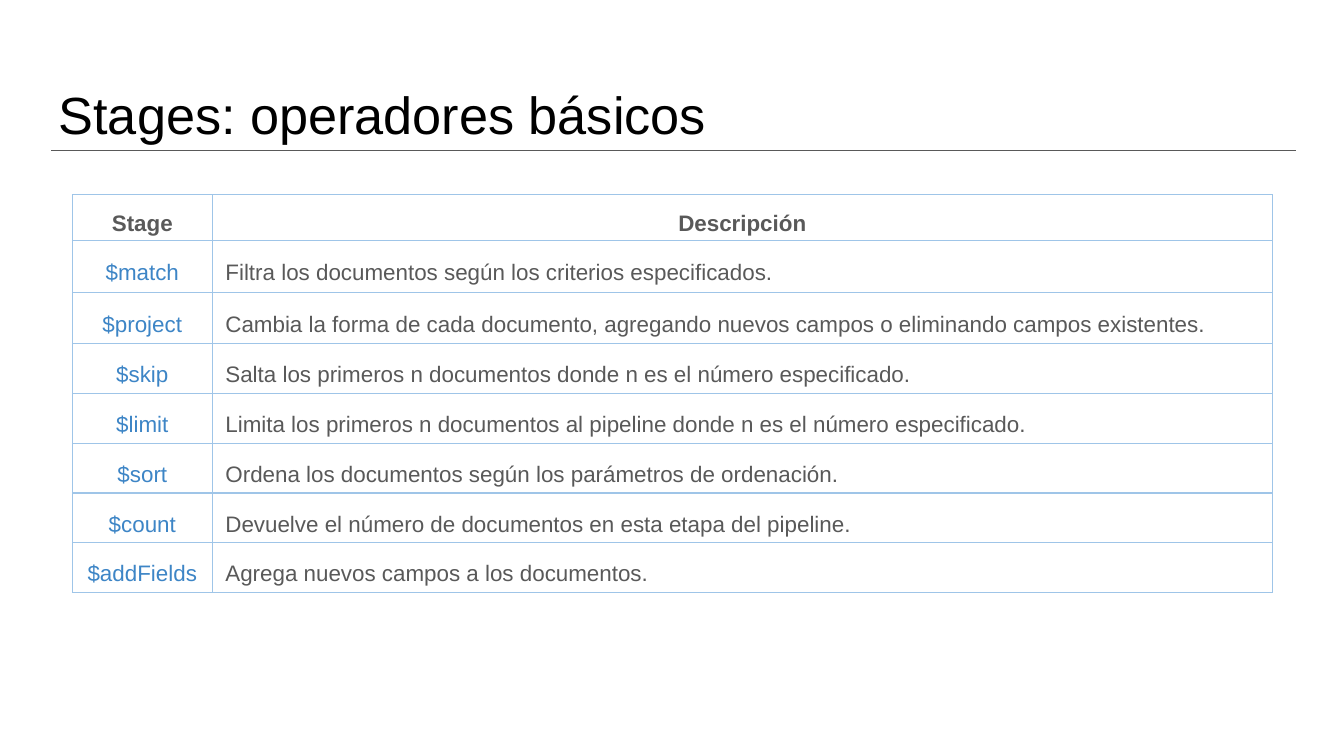
from pptx import Presentation
from pptx import util as u
from pptx.dml.color import RGBColor
from pptx.enum import shapes, text
from pptx.oxml import parse_xml
from pptx.oxml.ns import nsdecls

GREY, BLUE, BORDER, WHITE, BLACK = "595959", "3D85C6", "9FC5E8", "FFFFFF", "000000"

HEADER = ("Stage", "Descripción")
STAGES = [
    ("$match", "Filtra los documentos según los criterios especificados."),
    ("$project", "Cambia la forma de cada documento, agregando nuevos campos o eliminando campos existentes."),
    ("$skip", "Salta los primeros n documentos donde n es el número especificado."),
    ("$limit", "Limita los primeros n documentos al pipeline donde n es el número especificado."),
    ("$sort", "Ordena los documentos según los parámetros de ordenación."),
    ("$count", "Devuelve el número de documentos en esta etapa del pipeline."),
    ("$addFields", "Agrega nuevos campos a los documentos."),
]
COLUMN_WIDTHS = (2.64, 20.04)
ROW_HEIGHTS = [0.86, 0.99, 0.97] + [0.94] * 5


def color(value):
    return RGBColor.from_string(value)


class StageSlide:
    font = "Arial"
    line_width = u.Pt(0.75)

    def __init__(self, deck):
        self.page = deck.slides.add_slide(deck.slide_layouts[5])

    def style(self, para, size, hex_color, bold=False):
        for span in para.runs:
            span.font.name = self.font
            span.font.size = u.Pt(size)
            span.font.bold = bold
            span.font.color.rgb = color(hex_color)

    def title(self, wording, left, top, width, height):
        box = self.page.shapes.title
        box.left, box.top, box.width, box.height = map(u.Cm, (left, top, width, height))
        frame = box.text_frame
        frame.text = wording
        frame.word_wrap = True
        frame.auto_size = text.MSO_AUTO_SIZE.NONE
        frame.vertical_anchor = text.MSO_ANCHOR.BOTTOM
        frame.margin_left = frame.margin_right = u.Cm(0.25)
        frame.margin_top = frame.margin_bottom = u.Cm(0.1)
        para = frame.paragraphs[0]
        para.alignment = text.PP_ALIGN.LEFT
        self.style(para, 28, BLACK)

    def rule(self, left, right, top):
        line = self.page.shapes.add_connector(
            shapes.MSO_CONNECTOR.STRAIGHT, u.Cm(left), u.Cm(top), u.Cm(right), u.Cm(top))
        line.line.color.rgb = color(GREY)
        line.line.width = self.line_width
        line._element.spPr.append(parse_xml(f"<a:effectLst {nsdecls('a')}/>"))

    def borders(self, cell):
        properties = cell._tc.get_or_add_tcPr()
        for index, side in enumerate(("lnL", "lnR", "lnT", "lnB")):
            properties.insert(index, parse_xml(
                f'<a:{side} {nsdecls("a")} w="{self.line_width}"><a:solidFill>'
                f'<a:srgbClr val="{BORDER}"/></a:solidFill></a:{side}>'))

    def cell(self, cell, wording, hex_color, bold, centered):
        cell.fill.solid()
        cell.fill.fore_color.rgb = color(WHITE)
        self.borders(cell)
        cell.vertical_anchor = text.MSO_ANCHOR.MIDDLE
        cell.margin_left = u.Cm(0.05 if centered else 0.25)
        cell.margin_right = cell.margin_top = cell.margin_bottom = u.Cm(0.05)
        para = cell.text_frame.paragraphs[0]
        para.text = wording
        para.line_spacing = 1.5
        para.alignment = text.PP_ALIGN.CENTER if centered else text.PP_ALIGN.LEFT
        self.style(para, 12, hex_color, bold)

    def table(self, rows, left, top, widths, heights):
        grid = self.page.shapes.add_table(
            len(rows), len(widths), u.Cm(left), u.Cm(top),
            u.Cm(sum(widths)), u.Cm(sum(heights))).table
        for column, width in zip(grid.columns, widths):
            column.width = u.Cm(width)
        for r, (row, height) in enumerate(zip(rows, heights)):
            grid.rows[r].height = u.Cm(height)
            for c, wording in enumerate(row):
                header, name = r == 0, c == 0
                self.cell(grid.cell(r, c), wording,
                          BLUE if name and not header else GREY,
                          bold=header, centered=header or name)


def main():
    deck = Presentation()
    deck.slide_width, deck.slide_height = u.Cm(25.4), u.Cm(14.29)
    slide = StageSlide(deck)

    # Heading with its rule
    slide.title("Stages: operadores básicos", 0.86, 1.24, 23.67, 1.6)
    slide.rule(0.97, 24.49, 2.84)

    # Stage operators
    slide.table([HEADER] + STAGES, 1.37, 3.68, COLUMN_WIDTHS, ROW_HEIGHTS)

    deck.save("out.pptx")


if __name__ == "__main__":
    main()
